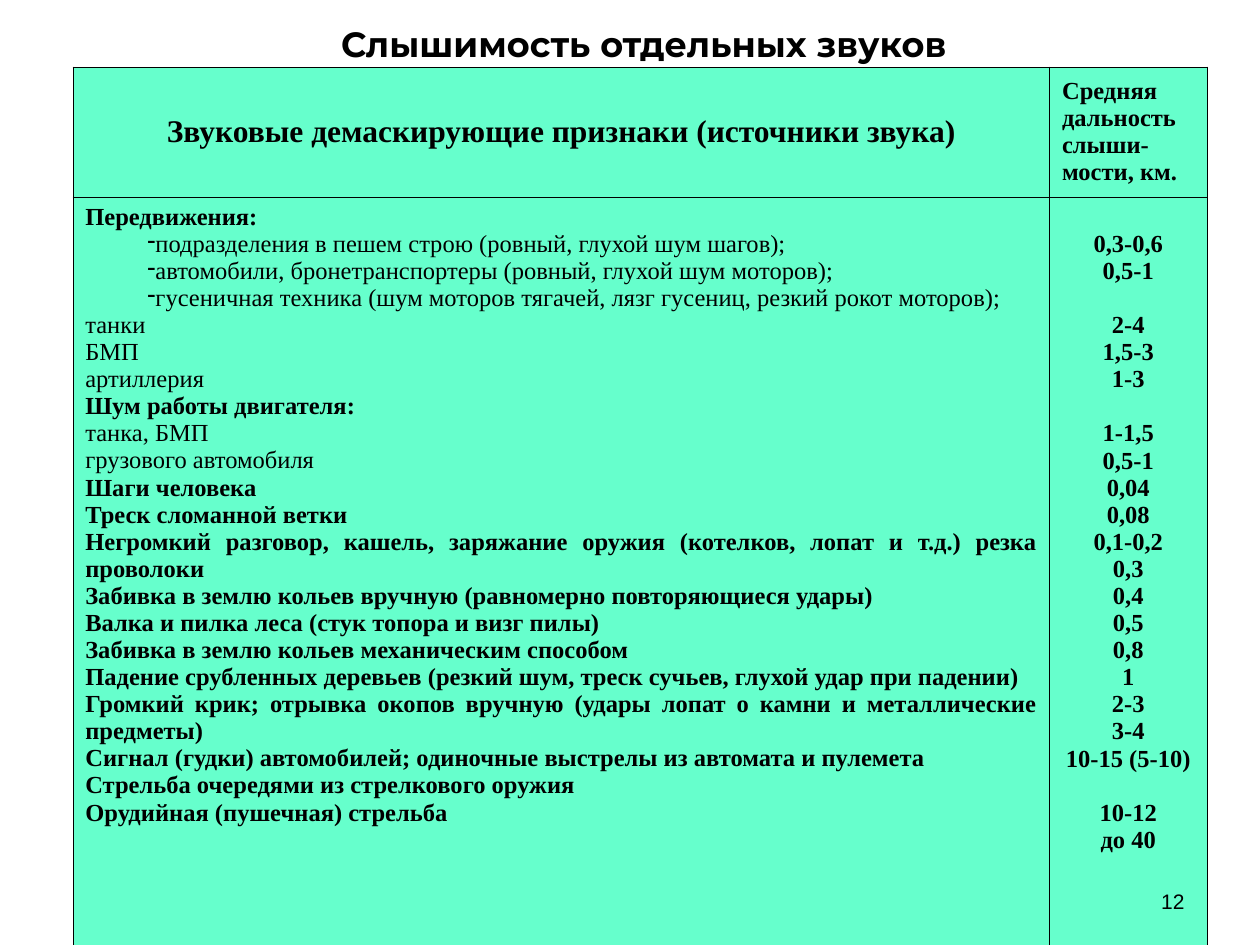
import pptx
import pptx.util
import pptx.dml.color
import pptx.enum.text
import pptx.oxml.ns
from lxml import etree

Cm = pptx.util.Cm
Pt = pptx.util.Pt
ALIGN = pptx.enum.text.PP_ALIGN
ANCHOR = pptx.enum.text.MSO_ANCHOR
qn = pptx.oxml.ns.qn

HEADERS = [
    ("Звуковые демаскирующие признаки (источники звука)", 18, ALIGN.CENTER),
    ("Средняя дальность слыши-мости, км.", 14, ALIGN.JUSTIFY),
]

SOURCE_GROUPS = [
    ("bold", ["Передвижения:"]),
    ("dash", [
        "подразделения в пешем строю (ровный, глухой шум шагов);",
        "автомобили, бронетранспортеры (ровный, глухой шум моторов);",
        "гусеничная техника (шум моторов тягачей, лязг гусениц, резкий рокот моторов);",
    ]),
    ("plain", ["танки", "БМП", "артиллерия"]),
    ("bold", ["Шум работы двигателя:"]),
    ("plain", ["танка, БМП", "грузового автомобиля"]),
    ("bold", [
        "Шаги человека",
        "Треск сломанной ветки",
        "Негромкий разговор, кашель, заряжание оружия (котелков, лопат и т.д.) резка проволоки",
        "Забивка в землю кольев вручную (равномерно повторяющиеся удары)",
        "Валка и пилка леса (стук топора и визг пилы)",
        "Забивка в землю кольев механическим способом",
        "Падение срубленных деревьев (резкий шум, треск сучьев, глухой удар при падении)",
        "Громкий крик; отрывка окопов вручную (удары лопат о камни и металлические предметы)",
        "Сигнал (гудки) автомобилей; одиночные выстрелы из автомата и пулемета",
        "Стрельба очередями из стрелкового оружия",
        "Орудийная (пушечная) стрельба",
    ]),
]

DISTANCE_GROUPS = [
    ["0,3-0,6", "0,5-1"],
    ["2-4", "1,5-3", "1-3"],
    ["1-1,5", "0,5-1", "0,04", "0,08", "0,1-0,2", "0,3", "0,4", "0,5", "0,8",
     "1", "2-3", "3-4", "10-15 (5-10)"],
    ["10-12", "до 40"],
]


def color(value):
    return pptx.dml.color.RGBColor.from_string(value)


class SlideBuilder:
    ink = "000000"
    cell_fill = "66FFCC"
    table_font = "Times New Roman"
    body_size = 14
    line_height = Pt(15.5)
    border_width = Pt(0.45)

    def __init__(self, slide):
        self.slide = slide

    def margins(self, target, horizontal, vertical):
        target.margin_left = target.margin_right = Cm(horizontal)
        target.margin_top = target.margin_bottom = Cm(vertical)

    def run(self, paragraph, text, size, font, bold):
        run = paragraph.add_run()
        run.text = text
        run.font.size = Pt(size)
        run.font.name = font
        run.font.bold = bold
        run.font.color.rgb = color(self.ink)

    def paragraph(self, frame, text, size, font, bold, alignment):
        first = frame.paragraphs[0]
        paragraph = frame.add_paragraph() if first.runs else first
        paragraph.alignment = alignment
        self.run(paragraph, text, size, font, bold)
        return paragraph

    def dash(self, paragraph):
        properties = paragraph._p.get_or_add_pPr()
        properties.set("marL", "0")
        properties.set("indent", str(Cm(1.25)))
        bullet_color = etree.SubElement(properties, qn("a:buClr"))
        etree.SubElement(bullet_color, qn("a:srgbClr"), val=self.ink)
        etree.SubElement(properties, qn("a:buFontTx"))
        etree.SubElement(properties, qn("a:buChar"), char="-")

    def title(self, text, left, top, width, height):
        shape = self.slide.shapes.title
        shape.left, shape.top, shape.width, shape.height = map(Cm, (left, top, width, height))
        frame = shape.text_frame
        frame.vertical_anchor = ANCHOR.BOTTOM
        self.margins(frame, 0, 0.04)
        self.paragraph(frame, text, 20, "Montserrat", True, ALIGN.CENTER)

    def text(self, text, left, top, width, height):
        shape = self.slide.shapes.add_textbox(*map(Cm, (left, top, width, height)))
        frame = shape.text_frame
        frame.word_wrap = True
        frame.vertical_anchor = ANCHOR.MIDDLE
        self.margins(frame, 0.25, 0.13)
        self.paragraph(frame, text, 12, "Arial", False, ALIGN.RIGHT)

    def style_cell(self, cell):
        self.margins(cell, 0.25, 0.13)
        properties = cell._tc.get_or_add_tcPr()
        for side in ("a:lnL", "a:lnR", "a:lnT", "a:lnB"):
            line = etree.SubElement(properties, qn(side), w=str(self.border_width))
            fill = etree.SubElement(line, qn("a:solidFill"))
            etree.SubElement(fill, qn("a:srgbClr"), val=self.ink)
        cell.fill.solid()
        cell.fill.fore_color.rgb = color(self.cell_fill)

    def table(self, left, top, widths, heights):
        frame = self.slide.shapes.add_table(
            len(heights), len(widths), Cm(left), Cm(top), Cm(sum(widths)), Cm(sum(heights)))
        table = frame.table
        table.first_row = table.horz_banding = False
        for column, width in zip(table.columns, widths):
            column.width = Cm(width)
        for row, height in zip(table.rows, heights):
            row.height = Cm(height)
        for cell in table.iter_cells():
            self.style_cell(cell)
        return table

    def header_cell(self, cell, text, size, alignment):
        cell.vertical_anchor = ANCHOR.MIDDLE
        self.paragraph(cell.text_frame, text, size, self.table_font, True, alignment)

    def source_cell(self, cell, groups):
        for kind, lines in groups:
            for line in lines:
                paragraph = self.paragraph(cell.text_frame, line, self.body_size,
                                           self.table_font, kind == "bold", ALIGN.JUSTIFY)
                if kind == "dash":
                    self.dash(paragraph)

    def distance_cell(self, cell, groups):
        cell.margin_top += self.line_height
        for group_index, group in enumerate(groups):
            for line_index, line in enumerate(group):
                paragraph = self.paragraph(cell.text_frame, line, self.body_size,
                                           self.table_font, True, ALIGN.CENTER)
                if group_index and not line_index:
                    paragraph.space_before = self.line_height


def main():
    presentation = pptx.Presentation()
    presentation.slide_width = Cm(25.4)
    presentation.slide_height = Cm(19.05)
    builder = SlideBuilder(presentation.slides.add_slide(presentation.slide_layouts[5]))
    builder.title("Слышимость отдельных звуков", 1.55, -0.43, 22.86, 1.78)
    table = builder.table(1.47, 1.35, [19.69, 3.17], [2.62, 15.08])
    for column, header in enumerate(HEADERS):
        builder.header_cell(table.cell(0, column), *header)
    builder.source_cell(table.cell(1, 0), SOURCE_GROUPS)
    builder.distance_cell(table.cell(1, 1), DISTANCE_GROUPS)
    builder.text("12", 18.21, 17.65, 5.92, 1.02)
    presentation.save("out.pptx")


if __name__ == "__main__":
    main()
